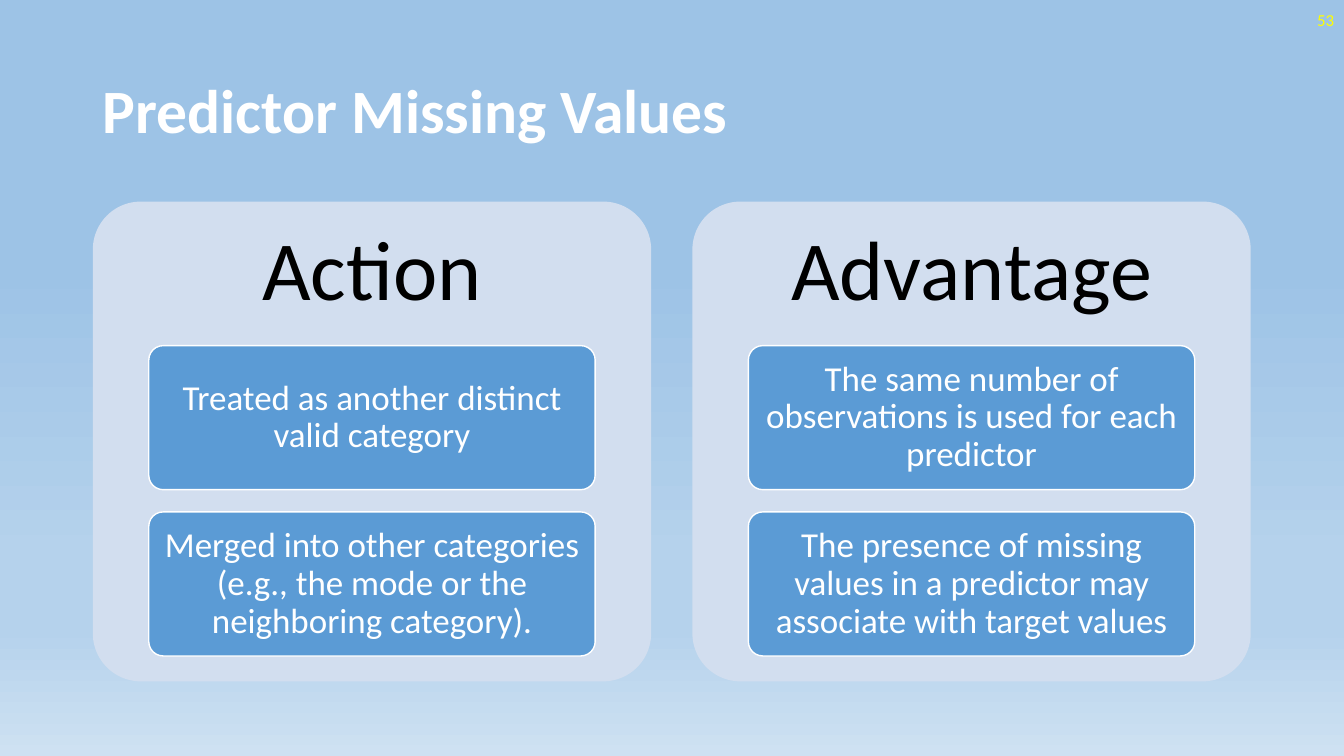
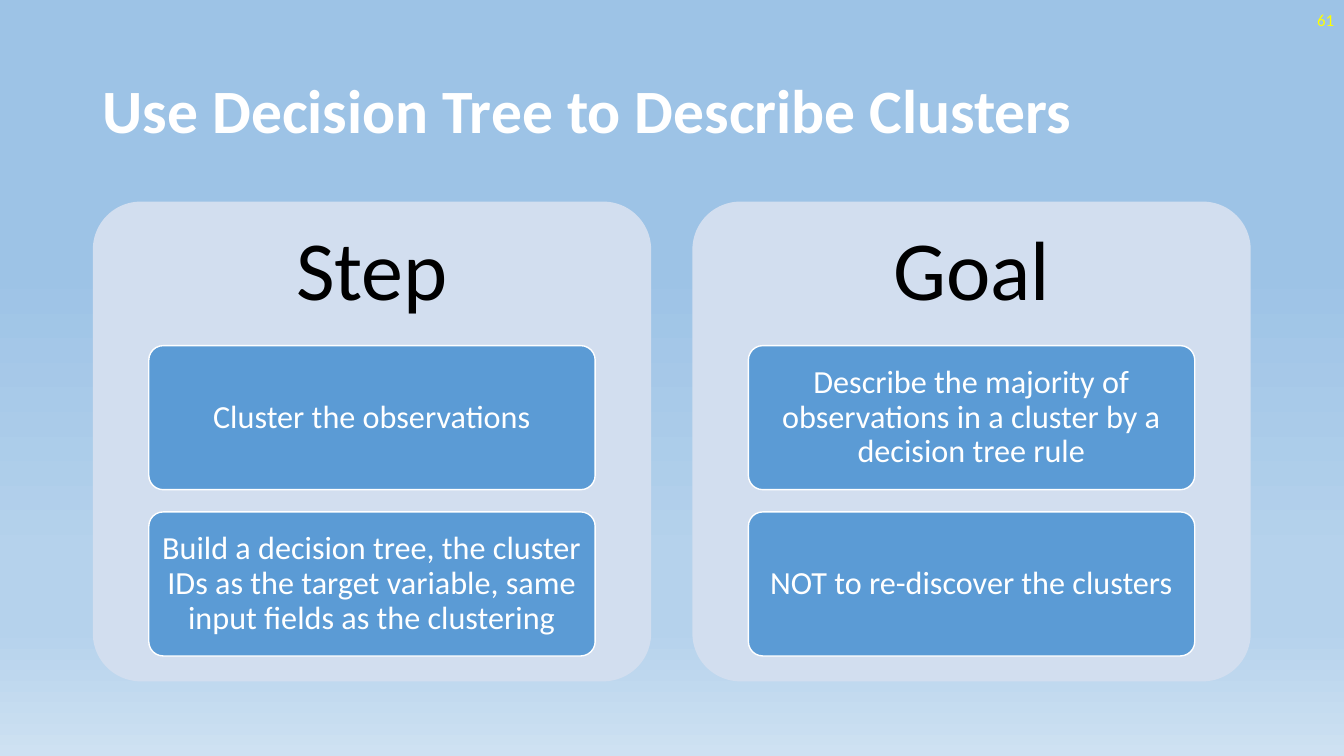
from lxml.etree import SubElement
from pptx import Presentation
from pptx.dml.color import RGBColor
from pptx.enum.shapes import MSO_SHAPE
from pptx.enum.text import MSO_ANCHOR, MSO_AUTO_SIZE, PP_ALIGN
from pptx.oxml.ns import qn
from pptx.util import Cm, Pt

# Shared look
FONT = "Calibri"
WHITE, BLACK, YELLOW = "FFFFFF", "000000", "FFFF00"
PANEL, BOX = "D2DEEF", "5B9BD5"
STOPS = [(35, "9DC3E6"), (74, "B5D2EC"), (83, "B5D2EC"), (100, "CEE1F2")]

# Grid of the cards, in cm
LEFT, TOP = 2.34, 5.08
CARD_W, CARD_H, CARD_STEP = 14.07, 12.09, 15.11
BOX_W, ROW_H, BOX_STEP = 11.25, 3.63, 4.19


def color(code):
    return RGBColor.from_string(code)


class Deck:
    def __init__(self):
        self.prs = Presentation()
        self.prs.slide_width, self.prs.slide_height = Cm(33.87), Cm(19.05)
        self.slide = None
        self.backdrop()

    def backdrop(self):
        """Give the master a vertical gradient."""
        master = self.prs.slide_master
        fill = master.background.fill
        fill.gradient()
        fill.gradient_angle = 270
        stops = next(master.element.iter(qn("a:gsLst")))
        for old in list(stops):
            stops.remove(old)
        for place, code in STOPS:
            stop = SubElement(stops, qn("a:gs"), pos=str(place * 1000))
            SubElement(stop, qn("a:srgbClr"), val=code)

    def text(self, shape, words, size, ink, align=PP_ALIGN.CENTER,
             bold=False, pad=(0.25, 0.13), lines=0.9):
        frame = shape.text_frame
        side, edge = (Cm(gap) for gap in pad)
        style = {
            "word_wrap": True, "auto_size": MSO_AUTO_SIZE.NONE,
            "vertical_anchor": MSO_ANCHOR.MIDDLE,
            "margin_left": side, "margin_right": side,
            "margin_top": edge, "margin_bottom": edge,
        }
        for name, value in style.items():
            setattr(frame, name, value)
        para = frame.paragraphs[0]
        para.alignment, para.line_spacing = align, lines
        run = para.add_run()
        run.text = words
        for name, value in {"name": FONT, "size": Pt(size), "bold": bold}.items():
            setattr(run.font, name, value)
        run.font.color.rgb = color(ink)

    def label(self, area, words, size, ink, **style):
        box = self.slide.shapes.add_textbox(*map(Cm, area))
        self.text(box, words, size, ink, **style)

    def panel(self, area, fill, line=None):
        shape = self.slide.shapes.add_shape(
            MSO_SHAPE.ROUNDED_RECTANGLE, *map(Cm, area))
        shape.adjustments[0] = 0.1
        shape.shadow.inherit = False
        shape.fill.solid()
        shape.fill.fore_color.rgb = color(fill)
        if line:
            shape.line.color.rgb = color(line)
            shape.line.width = Pt(1)
        else:
            shape.line.fill.background()
        return shape

    def page(self, title, number):
        """Start a slide with its title and number."""
        self.slide = self.prs.slides.add_slide(self.prs.slide_layouts[5])
        head = self.slide.shapes.title
        place = {"left": LEFT, "top": 1.02, "width": 29.21, "height": 3.68}
        for name, value in place.items():
            setattr(head, name, Cm(value))
        self.text(head, title, 44, WHITE, align=PP_ALIGN.LEFT, bold=True)
        self.label((26.25, 0, 7.62, 1.02), str(number), 12, YELLOW,
                   align=PP_ALIGN.RIGHT, lines=1.0)

    def card(self, col, head, items, size, side):
        """Draw a panel with a heading and a stack of boxes."""
        left = LEFT + col * CARD_STEP
        self.panel((left, TOP, CARD_W, CARD_H), PANEL)
        self.label((left, TOP, CARD_W, ROW_H), head, 60, BLACK,
                   pad=(0.64, 0.64))
        inner = left + (CARD_W - BOX_W) / 2
        for row, words in enumerate(items):
            top = TOP + ROW_H + row * BOX_STEP
            box = self.panel((inner, top, BOX_W, ROW_H), BOX, WHITE)
            self.text(box, words, size, WHITE, pad=(side, 0.12))


# Title, number, text size, side margin, cards
PAGES = [
    ("Predictor Missing Values", 53, 25, 0.18, {
        "Action": [
            "Treated as another distinct valid category",
            "Merged into other categories (e.g., the mode or the "
            "neighboring category).",
        ],
        "Advantage": [
            "The same number of observations is used for each predictor",
            "The presence of missing values in a predictor may associate "
            "with target values",
        ],
    }),
    ("Use Decision Tree to Describe Clusters", 61, 23, 0.15, {
        "Step": [
            "Cluster the observations",
            "Build a decision tree, the cluster IDs as the target variable, "
            "same input fields as the clustering",
        ],
        "Goal": [
            "Describe the majority of observations in a cluster by a "
            "decision tree rule",
            "NOT to re-discover the clusters",
        ],
    }),
]


def main():
    deck = Deck()
    for title, number, size, side, cards in PAGES:
        deck.page(title, number)
        for col, (head, items) in enumerate(cards.items()):
            deck.card(col, head, items, size, side)
    deck.prs.save("out.pptx")


if __name__ == "__main__":
    main()
